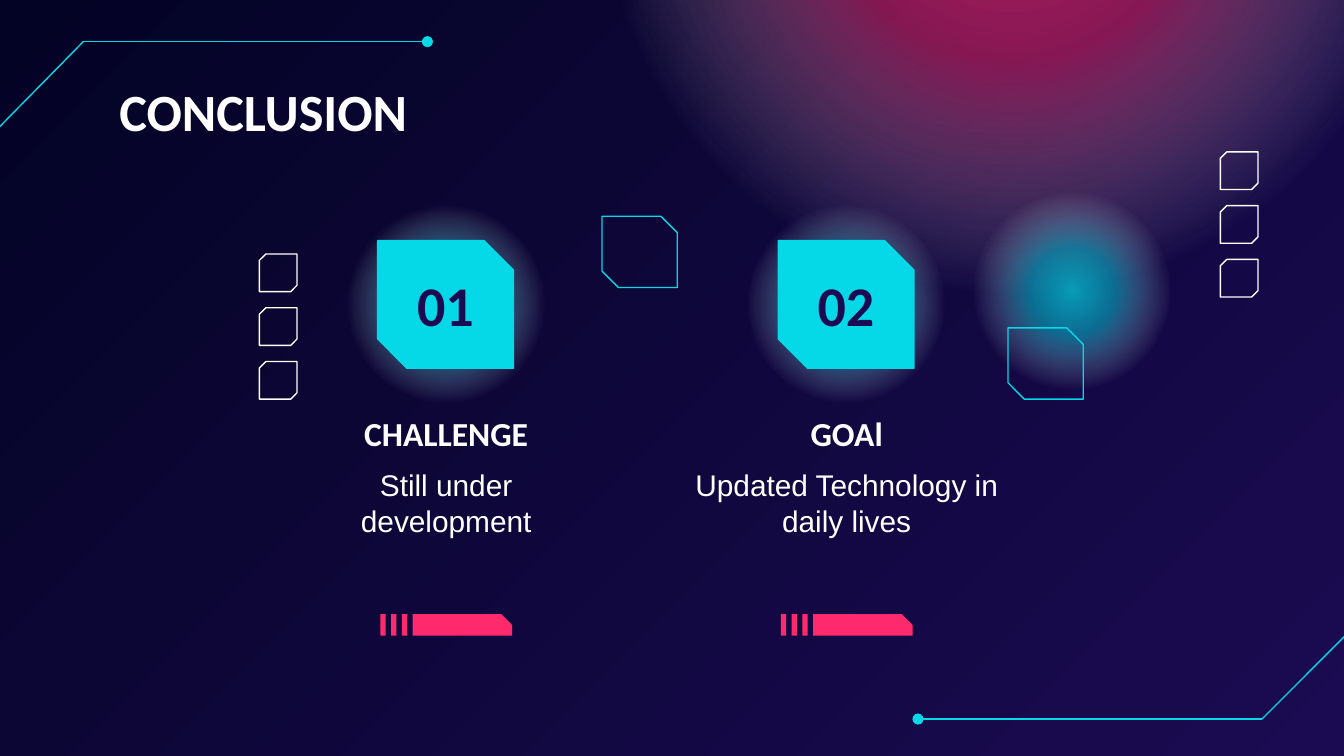
from dataclasses import dataclass

from lxml.etree import SubElement
from pptx import Presentation
from pptx.dml.color import RGBColor
from pptx.enum.shapes import MSO_CONNECTOR, MSO_SHAPE
from pptx.enum.text import MSO_ANCHOR, PP_ALIGN
from pptx.oxml.ns import qn
from pptx.shapes.autoshape import Shape
from pptx.slide import Slide
from pptx.util import Inches, Pt

COLORS = {
    "night": "030325",
    "indigo": "1B0B52",
    "cyan": "05D8E7",
    "pink": "FF296D",
    "white": "FFFFFF",
}


@dataclass
class Card:
    left: float
    number: str
    heading: str
    body: str


@dataclass
class Glow:
    left: float
    top: float
    size: float
    color: str
    center_alpha: int
    mid_alpha: int


CARDS = [
    Card(2.08, "01", "CHALLENGE", "Still under development"),
    Card(5.06, "02", "GOAl", "Updated Technology in daily lives"),
]
GLOWS = [
    Glow(4.41, -3.99, 6.25, "pink", 67, 49),
    *(Glow(card.left + 0.48, 1.51, 1.51, "cyan", 71, 48) for card in CARDS),
    Glow(7.22, 1.41, 1.51, "cyan", 71, 48),
]
# Each corner line runs from the slide edge through a bend to a dot.
CORNER_LINES = [
    [(-0.01, 0.95), (0.62, 0.31), (3.18, 0.31)],
    [(10.02, 4.72), (9.39, 5.35), (6.83, 5.35)],
]
OUTLINES = [(4.48, 1.61), (7.5, 2.44)]
SQUARE_COLUMNS = [(9.08, 1.13), (1.93, 1.89)]


def rgb(name: str) -> RGBColor:
    return RGBColor.from_string(COLORS[name])


def add_shape(s: Slide, kind: MSO_SHAPE, left: float, top: float, width: float,
              height: float, fill: str | None = None, line: str | None = None) -> Shape:
    sp = s.shapes.add_shape(kind, Inches(left), Inches(top), Inches(width), Inches(height))
    sp.shadow.inherit = False
    if fill:
        sp.fill.solid()
        sp.fill.fore_color.rgb = rgb(fill)
    else:
        sp.fill.background()
    if line:
        sp.line.color.rgb = rgb(line)
        sp.line.width = Pt(0.75)
    else:
        sp.line.fill.background()
    return sp


def add_snipped(s: Slide, left: float, top: float, width: float, height: float,
                snip: float, line: str, fill: str | None = None) -> Shape:
    sp = add_shape(s, MSO_SHAPE.SNIP_2_DIAG_RECTANGLE, left, top, width, height, fill, line)
    sp.adjustments[0] = 0
    sp.adjustments[1] = snip
    return sp


def add_glow(s: Slide, glow: Glow) -> None:
    """Draw a circle whose colour fades radially to nothing."""
    sp = add_shape(s, MSO_SHAPE.OVAL, glow.left, glow.top, glow.size, glow.size)
    sp.fill.gradient()
    grad = sp.element.spPr.find(qn("a:gradFill"))
    for child in list(grad):
        grad.remove(child)
    stops = SubElement(grad, qn("a:gsLst"))
    for pos, color, alpha in [(0, glow.color, glow.center_alpha),
                              (30, glow.color, glow.mid_alpha),
                              (69, "white", 0), (100, "white", 0)]:
        stop = SubElement(stops, qn("a:gs"), pos=str(pos * 1000))
        clr = SubElement(stop, qn("a:srgbClr"), val=COLORS[color])
        SubElement(clr, qn("a:alpha"), val=str(alpha * 1000))
    radial = SubElement(grad, qn("a:path"), path="circle")
    SubElement(radial, qn("a:fillToRect"), l="50000", t="50000", r="50000", b="50000")


def add_line(s: Slide, start: tuple[float, float], end: tuple[float, float],
             dot: bool) -> None:
    cx = s.shapes.add_connector(MSO_CONNECTOR.STRAIGHT, *map(Inches, start + end))
    cx.line.color.rgb = rgb("cyan")
    cx.line.width = Pt(0.75)
    if dot:
        ln = cx.element.spPr.find(qn("a:ln"))
        SubElement(ln, qn("a:tailEnd"), type="oval")
    SubElement(cx.element.spPr, qn("a:effectLst"))


def add_text(s: Slide, text: str, left: float, top: float, width: float, height: float,
             size: int, color: str = "white", font: str = "Calibri", bold: bool = True,
             align: PP_ALIGN = PP_ALIGN.CENTER,
             anchor: MSO_ANCHOR = MSO_ANCHOR.MIDDLE) -> None:
    sp = s.shapes.add_textbox(Inches(left), Inches(top), Inches(width), Inches(height))
    tf = sp.text_frame
    tf.word_wrap = True
    tf.vertical_anchor = anchor
    tf.margin_left = tf.margin_right = tf.margin_top = tf.margin_bottom = Inches(0.1)
    p = tf.paragraphs[0]
    p.text = text
    p.alignment = align
    p.font.size = Pt(size)
    p.font.name = font
    p.font.bold = bold
    p.font.color.rgb = rgb(color)


def add_card(s: Slide, card: Card) -> None:
    x = card.left
    add_snipped(s, x + 0.73, 1.79, 1.01, 0.95, 0.23, "cyan", "cyan")
    add_text(s, card.number, x + 0.81, 2, 0.85, 0.53, 30, "indigo")
    add_text(s, card.heading, x, 3.03, 2.48, 0.39, 18)
    add_text(s, card.body, x, 3.37, 2.48, 1.01, 16, font="Arial", bold=False,
             anchor=MSO_ANCHOR.TOP)
    bar = add_shape(s, MSO_SHAPE.SNIP_1_RECTANGLE, x + 0.99, 4.57, 0.74, 0.16, "pink")
    bar.adjustments[0] = 0.5
    for i in range(3):
        add_shape(s, MSO_SHAPE.RECTANGLE, x + 0.75 + 0.08 * i, 4.57, 0.04, 0.16, "pink")


def main() -> None:
    prs = Presentation()
    prs.slide_width = Inches(10)
    prs.slide_height = prs.slide_width * 9 // 16
    s = prs.slides.add_slide(prs.slide_layouts[6])

    bg = s.background.fill
    bg.gradient()
    bg.gradient_angle = 315
    for stop, color in zip(bg.gradient_stops, ["night", "indigo"]):
        stop.color.rgb = rgb(color)

    for glow in GLOWS:
        add_glow(s, glow)
    for edge, bend, end in CORNER_LINES:
        add_line(s, edge, bend, dot=False)
        add_line(s, bend, end, dot=True)

    add_text(s, "CONCLUSION", 0.79, 0.49, 7.85, 0.67, 28, align=PP_ALIGN.LEFT,
             anchor=MSO_ANCHOR.TOP)
    for card in CARDS:
        add_card(s, card)

    for left, top in OUTLINES:
        add_snipped(s, left, top, 0.56, 0.53, 0.23, "cyan")
    for left, top in SQUARE_COLUMNS:
        for i in range(3):
            square = add_snipped(s, left, top + 0.4 * i, 0.28, 0.28, 0.17, "white")
            square.rotation = 90

    prs.save("out.pptx")


if __name__ == "__main__":
    main()
